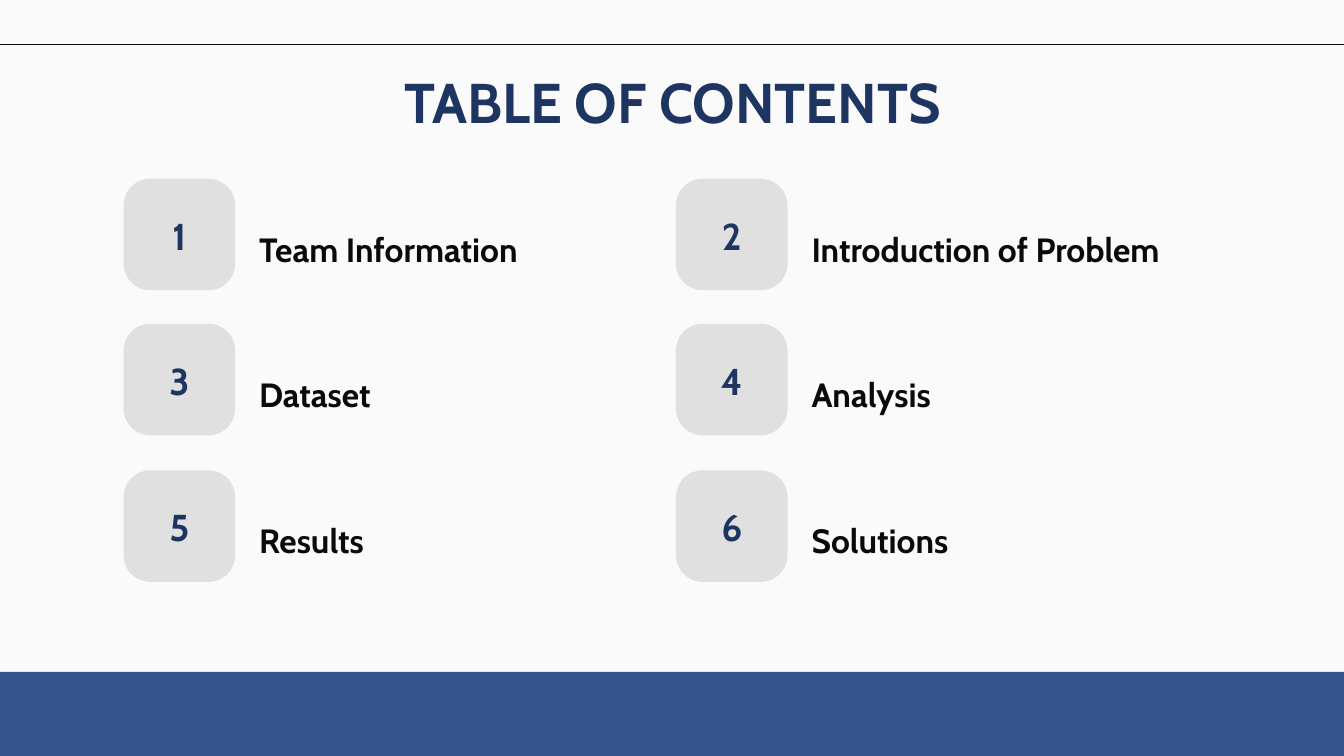
from pptx import Presentation
from pptx.dml.color import RGBColor
from pptx.enum.shapes import MSO_CONNECTOR, MSO_SHAPE
from pptx.enum.text import MSO_ANCHOR as Anchor, PP_ALIGN as Align
from pptx.oxml.ns import qn
from pptx.util import Inches, Pt
from lxml import etree

COLORS = {"background": "FAFAFA", "band": "36558F", "card": "E0E0E0",
          "navy": "1E3561", "ink": "0A0A0A"}
TOPICS = ["Team Information", "Introduction of Problem", "Dataset",
          "Analysis", "Results", "Solutions"]
COLUMNS = [0.92, 5.03]
ROWS = [1.33, 2.41, 3.5]
CARD_SIZE = 0.83

presentation = Presentation()
presentation.slide_width = Inches(10)
presentation.slide_height = Inches(10 * 9 / 16)
slide = presentation.slides.add_slide(presentation.slide_layouts[6])
slide.background.fill.solid()
slide.background.fill.fore_color.rgb = RGBColor.from_string(COLORS["background"])


def add_block(kind, left, top, width, height, color):
    shape = slide.shapes.add_shape(
        kind, Inches(left), Inches(top), Inches(width), Inches(height))
    shape.shadow.inherit = False
    shape.fill.solid()
    shape.fill.fore_color.rgb = RGBColor.from_string(COLORS[color])
    shape.line.fill.background()
    return shape


def add_text(text, left, top, width, height, size, color, align, anchor):
    box = slide.shapes.add_textbox(
        Inches(left), Inches(top), Inches(width), Inches(height))
    frame = box.text_frame
    frame.word_wrap = True
    frame.vertical_anchor = anchor
    frame.margin_left = frame.margin_right = Inches(0.1)
    frame.margin_top = frame.margin_bottom = Inches(0.1)
    paragraph = frame.paragraphs[0]
    paragraph.text = text
    paragraph.alignment = align
    paragraph.font.name = "Cabin"
    paragraph.font.size = Pt(size)
    paragraph.font.bold = True
    paragraph.font.color.rgb = RGBColor.from_string(COLORS[color])


add_block(MSO_SHAPE.RECTANGLE, -0.06, 5, 10.12, 0.65, "band")

rule = slide.shapes.add_connector(
    MSO_CONNECTOR.STRAIGHT, Inches(10.73), Inches(0.33), Inches(-0.22), Inches(0.33))
rule.line.color.rgb = RGBColor.from_string(COLORS["ink"])
rule.line.width = Pt(0.75)
etree.SubElement(rule._element.spPr, qn("a:effectLst"))

add_text("TABLE OF CONTENTS", 0.79, 0.4, 8.43, 0.6, 30, "navy",
         Align.CENTER, Anchor.TOP)

for index, topic in enumerate(TOPICS):
    row, column = divmod(index, len(COLUMNS))
    left, top = COLUMNS[column], ROWS[row]
    card = add_block(MSO_SHAPE.ROUNDED_RECTANGLE, left, top,
                     CARD_SIZE, CARD_SIZE, "card")
    card.adjustments[0] = 0.24
    add_text(str(index + 1), left, top + 0.22, CARD_SIZE, 0.4, 20, "navy",
             Align.CENTER, Anchor.MIDDLE)
    add_text(topic, left + 0.91, top + 0.07, 3.13, 0.7, 18, "ink",
             Align.LEFT, Anchor.BOTTOM)

presentation.save("out.pptx")
